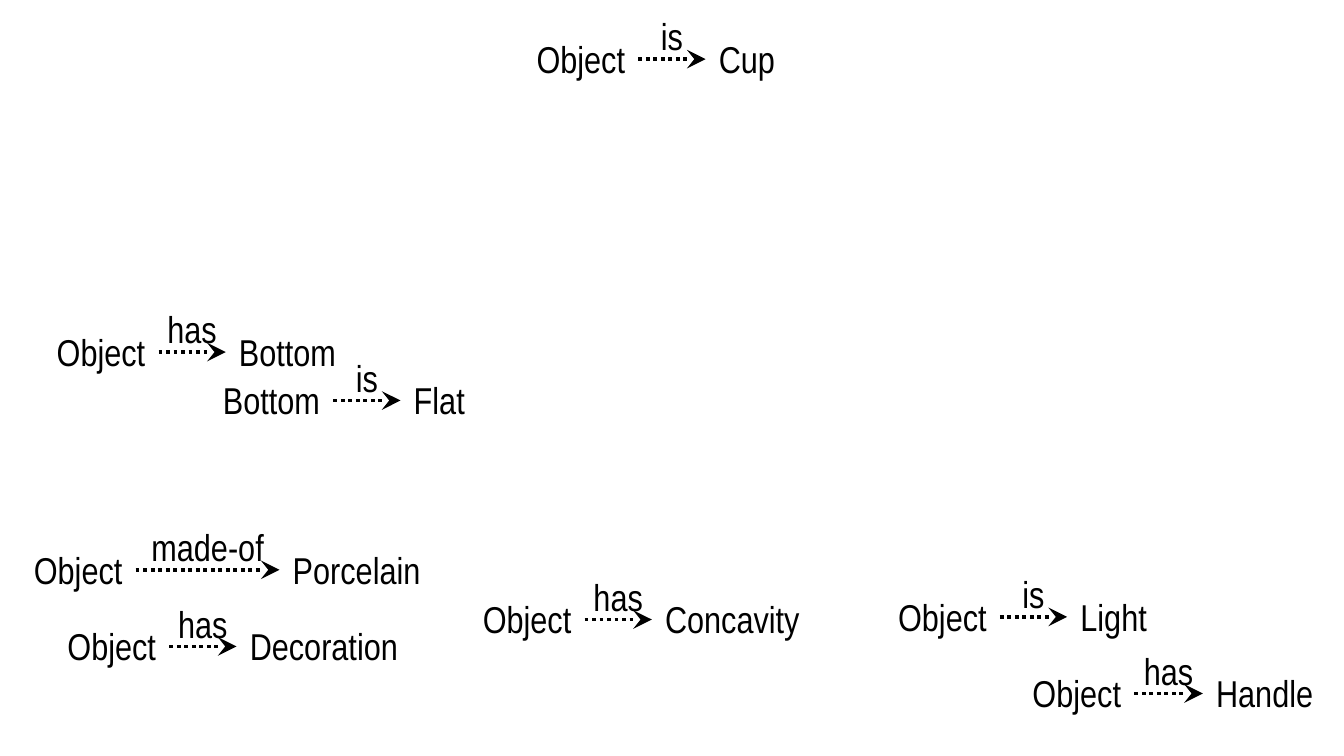
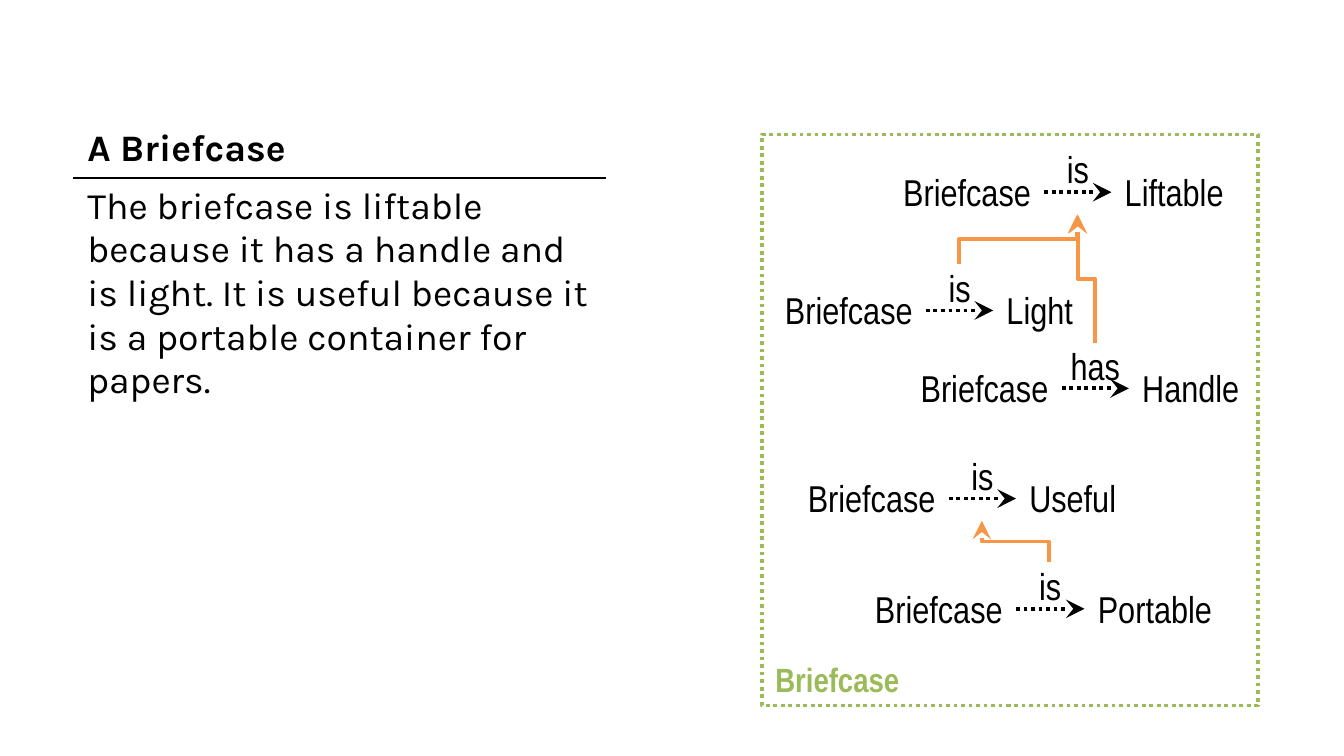
from typing import NamedTuple

from lxml import etree
from pptx import Presentation
from pptx import util as u
from pptx.dml.color import RGBColor
from pptx.enum import dml, shapes, text
from pptx.oxml.ns import qn

PX = 9144  # 100 px to the inch
BLACK = RGBColor(0x00, 0x00, 0x00)
ORANGE = RGBColor(0xF7, 0x96, 0x46)
GREEN = RGBColor(0x9B, 0xBB, 0x59)
NARROW = "Arial Narrow"
KARLA = "Karla"
DOTS = dml.MSO_LINE.ROUND_DOT
UP = 270 * 60000
ROW = 44


class Fact(NamedTuple):
    """A subject and an object joined by a verb; x is where the arrow starts."""
    subject: str
    verb: str
    object: str
    x: int
    y: int
    left: int = 105
    right: int = 109
    gap: int = 50


class Cause(NamedTuple):
    """An elbow that rises from (x, y) to (to_x, to_y)."""
    x: int
    y: int
    to_x: int
    to_y: int


CUP = [
    Fact("Object", "is", "Cup", 475, 22, right=67),
    Fact("Object", "has", "Bottom", 118, 240, right=113),
    Fact("Bottom", "is", "Flat", 248, 276, left=115, right=71),
    Fact("Object", "has", "Concavity", 435, 439, right=143),
    Fact("Object", "is", "Light", 744, 437),
    Fact("Object", "has", "Handle", 844, 494, right=105, gap=51),
    Fact("Object", "made-of", "Porcelain", 101, 402, left=101, right=126, gap=107),
    Fact("Object", "has", "Decoration", 126, 459, right=149),
]
CASE = [
    Fact("Briefcase", "is", "Liftable", 777, 121, left=141),
    Fact("Briefcase", "is", "Light", 689, 209, left=138),
    Fact("Briefcase", "has", "Handle", 790, 267, left=153, right=105),
    Fact("Briefcase", "is", "Useful", 706, 349, left=134),
    Fact("Briefcase", "is", "Portable", 756, 431, left=168, right=118, gap=51),
]
CAUSES = [
    Cause(714, 197, 802, 160),
    Cause(815, 255, 802, 160),
    Cause(781, 419, 731, 388),
]
STORY = (
    "The briefcase is liftable because it has a handle and is light. "
    "It is useful because it is a portable container for papers."
)


def px(*sizes: int) -> list[u.Emu]:
    return [u.Emu(size * PX) for size in sizes]


def style(frame, size: int, font: str, color: RGBColor, bold: bool = False,
          align=text.PP_ALIGN.LEFT) -> None:
    for para in frame.paragraphs:
        para.alignment = align
        for run in para.runs:
            run.font.size = u.Pt(size)
            run.font.name = font
            run.font.bold = bold
            run.font.color.rgb = color


def word(slide, label: str, x: int, y: int, width: int, align) -> None:
    frame = slide.shapes.add_textbox(*px(x, y, width, ROW)).text_frame
    frame.word_wrap = True
    frame.auto_size = text.MSO_AUTO_SIZE.SHAPE_TO_FIT_TEXT
    frame.text = label
    style(frame, 20, NARROW, BLACK, align=align)


def verb(slide, label: str, x: int, y: int, width: int) -> None:
    frame = slide.shapes.add_textbox(*px(x, y, width, 51)).text_frame
    frame.word_wrap = True
    frame.margin_left = frame.margin_right = 0
    frame.margin_top = frame.margin_bottom = 0
    frame.text = label
    style(frame, 20, NARROW, BLACK, align=text.PP_ALIGN.CENTER)


def arrow(slide, kind, ends: list[u.Emu], color: RGBColor):
    link = slide.shapes.add_connector(kind, *ends)
    link.line.color.rgb = color
    link.line.width = u.Pt(2)
    props = link._element.spPr
    head = etree.SubElement(props.find(qn("a:ln")), qn("a:tailEnd"))
    head.set("type", "stealth")
    head.set("w", "lg")
    head.set("len", "lg")
    etree.SubElement(props, qn("a:effectLst"))
    return link


def draw_fact(slide, fact: Fact) -> None:
    end = fact.x + fact.gap
    mid = fact.y + ROW // 2
    word(slide, fact.subject, fact.x - fact.left, fact.y, fact.left,
         text.PP_ALIGN.RIGHT)
    word(slide, fact.object, end, fact.y, fact.right, text.PP_ALIGN.LEFT)
    line = arrow(slide, shapes.MSO_CONNECTOR.STRAIGHT,
                 px(fact.x, mid, end, mid), BLACK)
    line.line.dash_style = DOTS
    verb(slide, fact.verb, fact.x, fact.y - 12, fact.gap)


def draw_cause(slide, cause: Cause) -> None:
    """Lay the elbow flat about its centre, then turn it upwards."""
    rise = cause.y - cause.to_y
    shift = cause.to_x - cause.x
    x = (cause.x + cause.to_x - rise) // 2
    y = (cause.y + cause.to_y - shift) // 2
    link = arrow(slide, shapes.MSO_CONNECTOR.ELBOW,
                 px(x, y, x + rise, y + shift), ORANGE)
    link._element.spPr.find(qn("a:xfrm")).set("rot", str(UP))


def draw_frame(slide) -> None:
    box = slide.shapes.add_shape(shapes.MSO_SHAPE.RECTANGLE,
                                 *px(567, 100, 369, 425))
    box.shadow.inherit = False
    box.fill.background()
    box.line.color.rgb = GREEN
    box.line.width = u.Pt(2)
    box.line.dash_style = DOTS
    frame = box.text_frame
    frame.vertical_anchor = text.MSO_ANCHOR.BOTTOM
    frame.text = "Briefcase"
    style(frame, 18, NARROW, GREEN, bold=True)


def border(cell, side: str) -> None:
    edge = etree.SubElement(cell._tc.get_or_add_tcPr(), qn(f"a:{side}"))
    edge.set("w", str(u.Pt(1)))
    fill = etree.SubElement(edge, qn("a:solidFill"))
    etree.SubElement(fill, qn("a:srgbClr")).set("val", str(BLACK))


def draw_story(slide) -> None:
    table = slide.shapes.add_table(2, 1, *px(55, 90, 395, 82)).table
    table.first_row = table.horz_banding = False
    rows = [("A Briefcase", True, "lnB"), (STORY, False, "lnT")]
    for row, (label, bold, side) in enumerate(rows):
        cell = table.cell(row, 0)
        border(cell, side)
        cell.fill.background()
        cell.text_frame.text = label
        style(cell.text_frame, 20, KARLA, BLACK, bold)


def main() -> None:
    deck = Presentation()
    [deck.slide_width] = px(1000)
    deck.slide_height = u.Emu(deck.slide_width * 9 // 16)
    blank = deck.slide_layouts[6]

    cup = deck.slides.add_slide(blank)
    for fact in CUP:
        draw_fact(cup, fact)

    case = deck.slides.add_slide(blank)
    draw_story(case)
    for fact in CASE[:3]:
        draw_fact(case, fact)
    for cause in CAUSES[:2]:
        draw_cause(case, cause)
    draw_frame(case)
    for fact in CASE[3:]:
        draw_fact(case, fact)
    draw_cause(case, CAUSES[2])

    deck.save("out.pptx")


if __name__ == "__main__":
    main()
